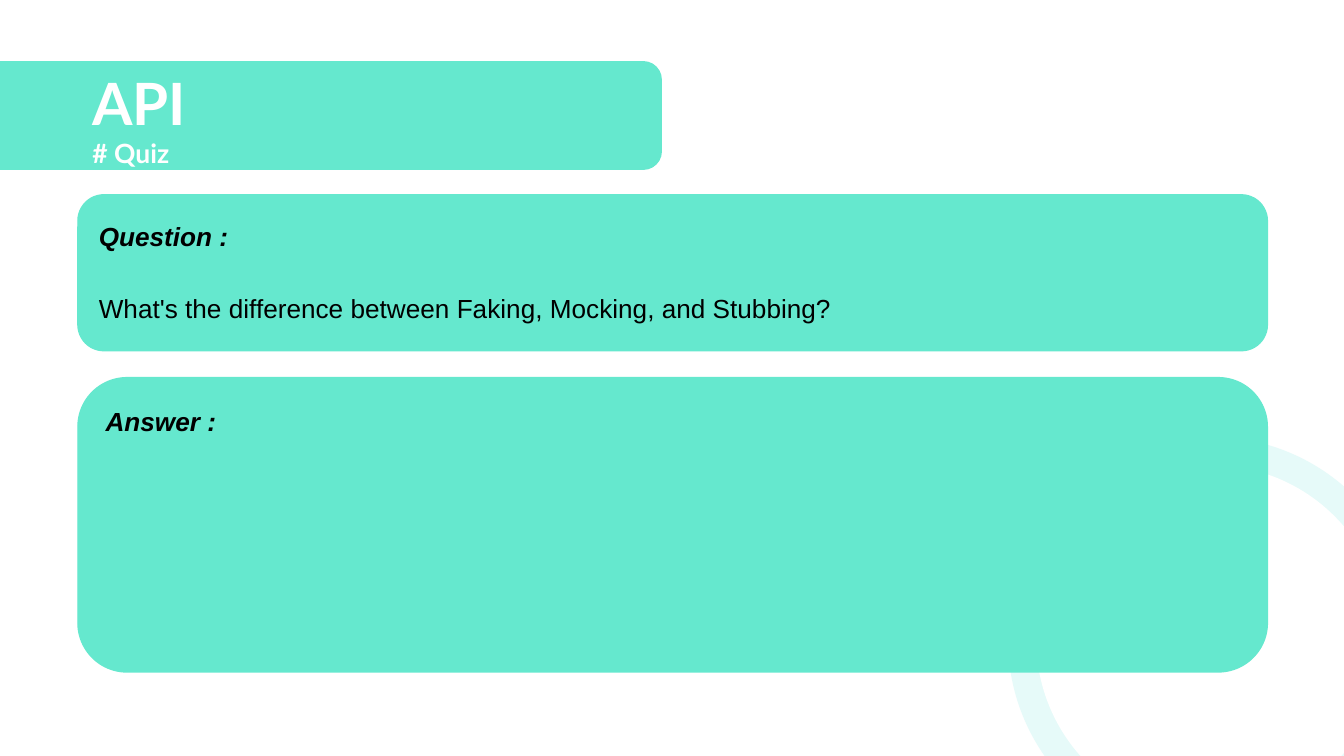
from pptx import Presentation
from pptx import util as u
from pptx.dml.color import RGBColor
from pptx.enum import shapes, text

MINT = RGBColor(0x65, 0xE8, 0xCE)
PALE_TEAL = RGBColor(0xE6, 0xFA, 0xF9)
WHITE = RGBColor(0xFF, 0xFF, 0xFF)
BLACK = RGBColor(0x00, 0x00, 0x00)


def style_run(run, font_name, size, color, bold=False, italic=False):
    """Apply the font settings to one run."""
    font = run.font
    font.name, font.size = font_name, u.Pt(size)
    font.bold, font.italic = bold, italic
    font.color.rgb = color


def set_frame(frame, anchor):
    """Give a text frame wrapping, an anchor and equal margins."""
    frame.word_wrap = True
    frame.vertical_anchor = anchor
    frame.margin_left = frame.margin_right = u.Inches(0.1)
    frame.margin_top = frame.margin_bottom = u.Inches(0.1)


def add_panel(slide, left, top, width, height):
    """Add a mint rounded rectangle."""
    panel = slide.shapes.add_shape(
        shapes.MSO_SHAPE.ROUNDED_RECTANGLE,
        u.Inches(left), u.Inches(top), u.Inches(width), u.Inches(height))
    panel.shadow.inherit = False
    panel.adjustments[0] = 0.167
    panel.fill.solid()
    panel.fill.fore_color.rgb = MINT
    panel.line.color.rgb = MINT
    panel.line.width = u.Pt(0.75)
    return panel


def add_header(slide, left, top, width, height):
    """Add the banner with the topic and its tag."""
    add_panel(slide, left, top, width, height)
    title = slide.shapes.add_textbox(
        u.Inches(left + 2.15), u.Inches(top + 0.02), u.Inches(4.14), u.Inches(0.79))
    frame = title.text_frame
    set_frame(frame, text.MSO_ANCHOR.MIDDLE)
    frame.text = "API\n# Quiz"
    for paragraph, size in zip(frame.paragraphs, (31.2, 14.2)):
        style_run(paragraph.runs[0], "Lato", size, WHITE, bold=True)


def add_ring(slide, left, top, size, thickness):
    """Add a pale ring made of two concentric circles."""
    for inset, color in ((0, PALE_TEAL), (thickness, WHITE)):
        diameter = u.Inches(size - 2 * inset)
        circle = slide.shapes.add_shape(
            shapes.MSO_SHAPE.OVAL,
            u.Inches(left + inset), u.Inches(top + inset), diameter, diameter)
        circle.shadow.inherit = False
        circle.fill.solid()
        circle.fill.fore_color.rgb = color
        circle.line.fill.background()


def add_card(slide, left, top, width, height, heading, body=None):
    """Add a card with an italic heading and an optional body."""
    frame = add_panel(slide, left, top, width, height).text_frame
    set_frame(frame, text.MSO_ANCHOR.TOP)
    frame.text = heading if body is None else f"{heading}\n{body}"
    for index, paragraph in enumerate(frame.paragraphs):
        is_heading = index == 0
        paragraph.alignment = text.PP_ALIGN.LEFT
        if body is not None:
            paragraph.line_spacing = 1.15
        if not is_heading:
            paragraph.space_before = u.Pt(19)
        style_run(paragraph.runs[0], "Arial", 14, BLACK, is_heading, is_heading)


def main():
    """Build the quiz slide and save it."""
    presentation = Presentation()
    presentation.slide_width = u.Inches(10)
    presentation.slide_height = u.Inches(10) * 9 // 16
    slide = presentation.slides.add_slide(presentation.slide_layouts[6])
    add_header(slide, -1.56, 0.46, 6.48, 0.8)
    add_ring(slide, 7.5, 3.25, 3.02, 0.21)
    add_card(slide, 0.58, 1.45, 8.85, 1.16, "Question :",
             "What's the difference between Faking, Mocking, and Stubbing?")
    add_card(slide, 0.58, 2.81, 8.85, 2.19, "Answer :")
    presentation.save("out.pptx")


if __name__ == "__main__":
    main()
